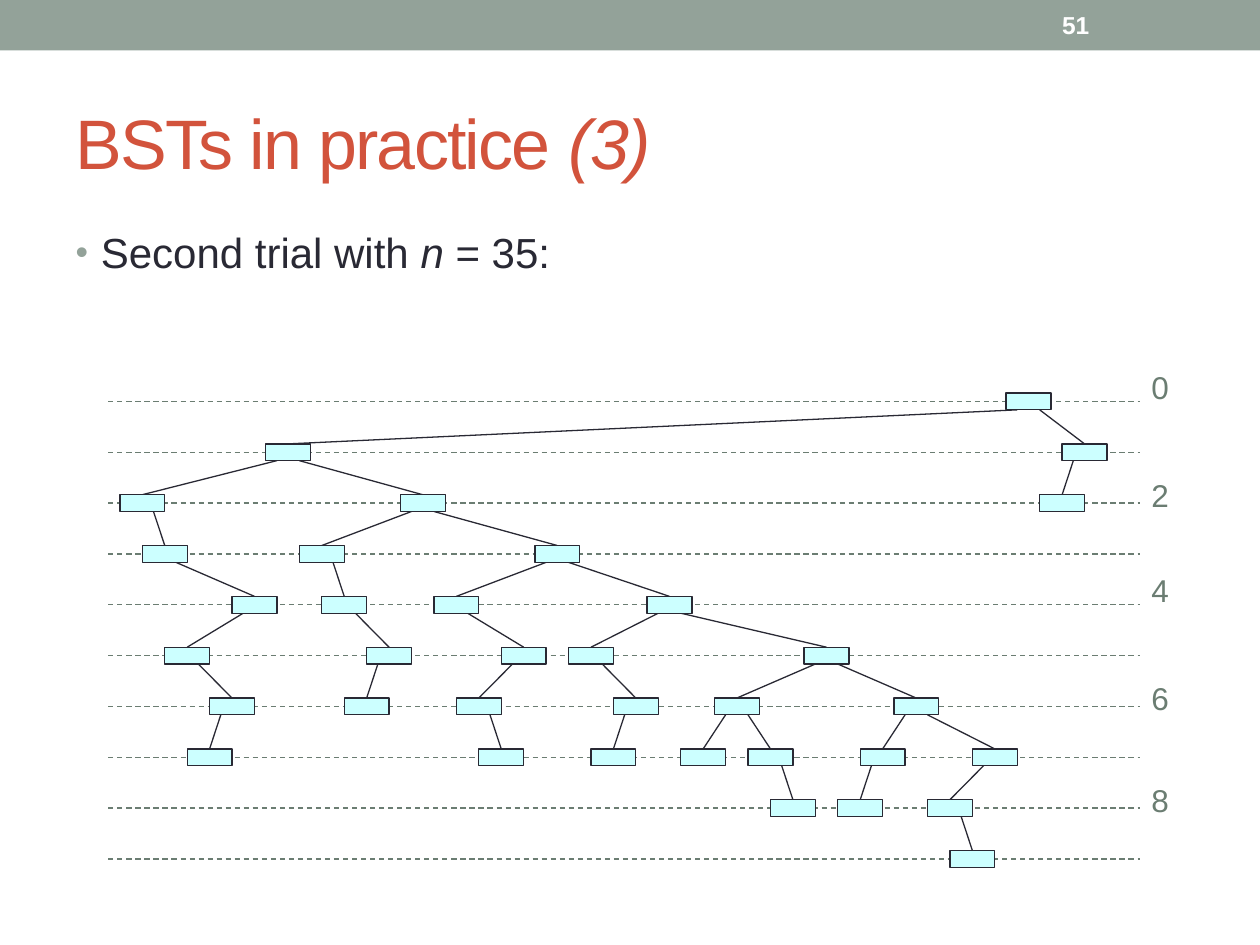
from lxml import etree
from pptx import Presentation
from pptx.dml.color import RGBColor
from pptx.enum.dml import MSO_LINE
from pptx.enum.shapes import MSO_CONNECTOR, MSO_SHAPE
from pptx.enum.text import MSO_ANCHOR, PP_ALIGN
from pptx.oxml.ns import qn
from pptx.util import Pt

STRAIGHT = MSO_CONNECTOR.STRAIGHT
RECT = MSO_SHAPE.RECTANGLE
DASH = MSO_LINE.DASH
TOP, MIDDLE = MSO_ANCHOR.TOP, MSO_ANCHOR.MIDDLE
LEFT = PP_ALIGN.LEFT

COLORS = {"bar": "93A299", "title": "D2533C", "ink": "292934",
          "guide": "6B7D72", "node": "CCFFFF", "white": "FFFFFF"}
TITLE = [("BSTs in practice ", False), ("(3)", True)]
BODY = [("Second trial with ", False), ("n", True), (" = 35:", False)]
PAGE = "51"
LEVEL_LABELS = [("0", 210.2), ("2", 272.2), ("4", 326.2), ("6", 388.1), ("8", 446.4)]
DEPTHS = [2, 3, 5, 7, 6, 4, 1, 3, 4, 6, 5, 2, 4, 6, 7, 5, 3, 5, 7, 6, 4,
          7, 6, 7, 8, 5, 8, 7, 6, 8, 9, 7, 0, 2, 1]

UNIT = 6.41
NODE_W, NODE_H = 4 * UNIT, 9.6
TREE_X, TREE_Y, LEVEL_H = 68.5, 224.6, 29.05
GUIDE_X1, GUIDE_X2 = 61.9, 651.6


def rgb(name):
    return RGBColor.from_string(COLORS[name])


def add_line(x1, y1, x2, y2, color, dash=None):
    c = s.shapes.add_connector(STRAIGHT, Pt(x1), Pt(y1), Pt(x2), Pt(y2))
    c.line.color.rgb = rgb(color)
    c.line.width = Pt(0.75)
    if dash:
        c.line.dash_style = dash
    etree.SubElement(c._element.spPr, qn("a:effectLst"))


def add_rect(x, y, w, h, fill, line=None):
    sp = s.shapes.add_shape(RECT, Pt(x), Pt(y), Pt(w), Pt(h))
    sp.shadow.inherit = False
    sp.fill.solid()
    sp.fill.fore_color.rgb = rgb(fill)
    if line:
        sp.line.color.rgb = rgb(line)
        sp.line.width = Pt(0.75)
    else:
        sp.line.fill.background()


def write(sp, runs, size, color, anchor=TOP, bold=False):
    tf = sp.text_frame
    tf.word_wrap = True
    tf.vertical_anchor = anchor
    p = tf.paragraphs[0]
    p.alignment = LEFT
    for text, italic in runs:
        r = p.add_run()
        r.text = text
        r.font.name = "Arial"
        r.font.size = Pt(size)
        r.font.color.rgb = rgb(color)
        r.font.italic = italic
        r.font.bold = bold
    return p


def place(sp, x, y, w, h):
    sp.left, sp.top, sp.width, sp.height = Pt(x), Pt(y), Pt(w), Pt(h)


def find_edges(lo, hi, parent=None):
    if lo >= hi:
        return []
    root = min(range(lo, hi), key=lambda i: DEPTHS[i])
    edges = [] if parent is None else [(parent, root)]
    return edges + find_edges(lo, root, root) + find_edges(root + 1, hi, root)


prs = Presentation()
prs.slide_width, prs.slide_height = Pt(720), Pt(540)
s = prs.slides.add_slide(prs.slide_layouts[1])
add_rect(0, 0, 720, 28.8, "bar")

title, body = s.placeholders[0], s.placeholders[1]
place(title, 36, 41.8, 648, 77.8)
p = write(title, TITLE, 40, "title", MIDDLE)
for r in p.runs:
    r.font._element.set("spc", "-100")

place(body, 36, 126, 648, 383.8)
p = write(body, BODY, 24, "ink")
p.space_before = Pt(4.8)
pPr = p._p.get_or_add_pPr()
pPr.set("marL", str(Pt(14.4)))
pPr.set("indent", str(-Pt(14.4)))
bullet_color = etree.SubElement(pPr, qn("a:buClr"))
etree.SubElement(bullet_color, qn("a:srgbClr"), val=COLORS["bar"])
etree.SubElement(pPr, qn("a:buSzPct"), val="85000")
etree.SubElement(pPr, qn("a:buFont"), typeface="Arial")
etree.SubElement(pPr, qn("a:buChar"), char="•")

for level in range(max(DEPTHS) + 1):
    y = TREE_Y + NODE_H / 2 + level * LEVEL_H
    add_line(GUIDE_X1, y, GUIDE_X2, y, "guide", DASH)

for text, y in LEVEL_LABELS:
    sp = s.shapes.add_textbox(Pt(658), Pt(y), Pt(14.4), Pt(35.3))
    tf = sp.text_frame
    tf.margin_left = tf.margin_right = tf.margin_top = tf.margin_bottom = 0
    write(sp, [(text, False)], 18, "guide")

edges = find_edges(0, len(DEPTHS))
parents = [a for a, b in edges]
forks = {a for a in parents if parents.count(a) == 2}
xs = [TREE_X]
for i in range(1, len(DEPTHS)):
    xs.append(xs[-1] + UNIT * (3 if forks & {i - 1, i} else 2))
ys = [TREE_Y + d * LEVEL_H for d in DEPTHS]

for a, b in edges:
    side = UNIT if b > a else -UNIT
    add_line(xs[a] + NODE_W / 2 + side, ys[a] + NODE_H,
             xs[b] + NODE_W / 2, ys[b], "ink")
for x, y in zip(xs, ys):
    add_rect(x, y, NODE_W, NODE_H, "node", "ink")

page = s.shapes.add_textbox(Pt(599.8), Pt(1.4), Pt(84.2), Pt(25.9))
write(page, [(PAGE, False)], 14, "white", MIDDLE, True)

prs.save("out.pptx")
